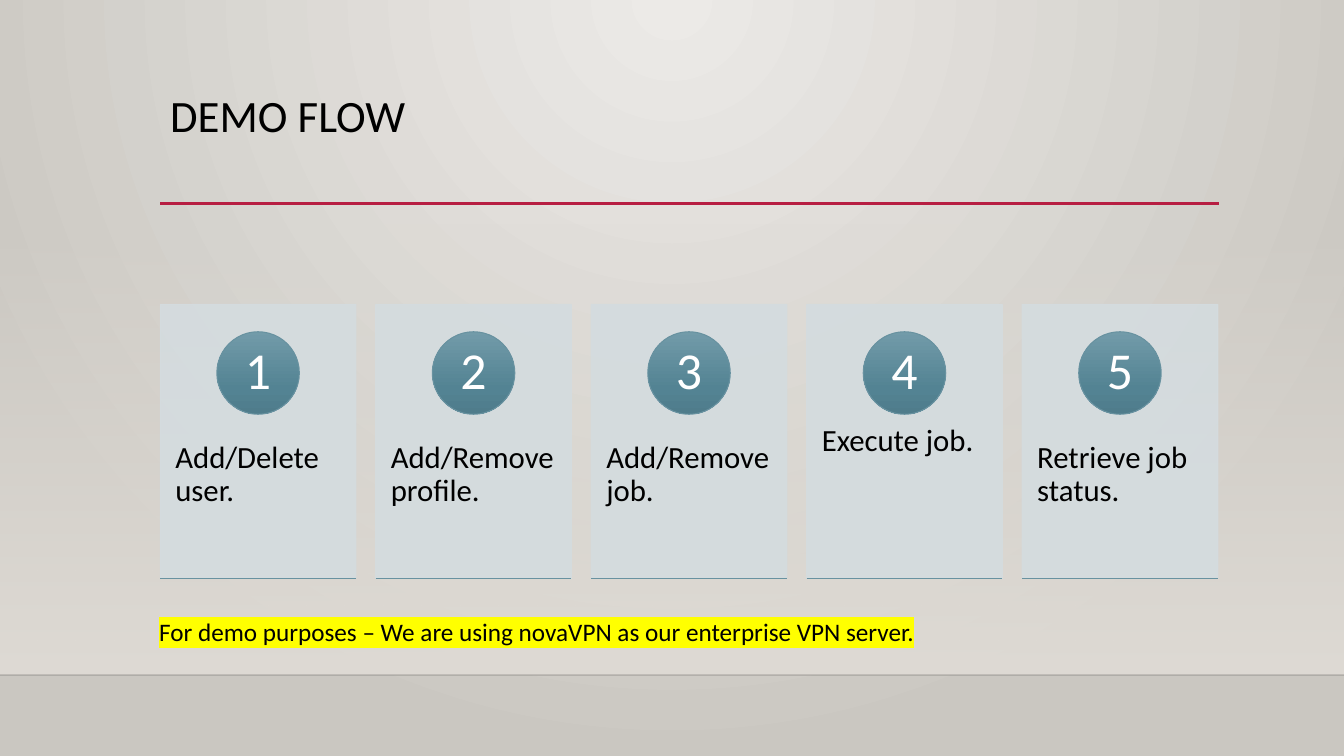
"""Build the demo flow slide with five numbered steps."""
from lxml import etree
from pptx import Presentation
from pptx import util as u
from pptx.dml.color import RGBColor
from pptx.enum import shapes, text
from pptx.oxml.ns import qn

THEME = {
    "font": "Calibri", "title": 32, "label": 22, "number": 37, "note": 18,
    "ink": "000000", "white": "FFFFFF", "marker": "FFFF00",
    "rule": "B71E42", "floor": "000001", "card": "D4DCDF", "edge": "6892A0",
    "backdrop": [(0, "ECEAE7", 100), (100, "CAC7C1", 100)],
    "wall": [(0, "DFDBD5", 0), (100, "DFDBD5", 100)],
    "badge": [(0, "729BA9", 100), (69, "538393", 100), (100, "4F7C8B", 100)],
}


def write(frame, words, size, color="ink", inset=(0.25, 0.13), spacing=0.9,
          align=text.PP_ALIGN.LEFT, anchor=text.MSO_ANCHOR.TOP, highlight=None):
    frame.word_wrap = True
    frame.vertical_anchor = anchor
    frame.margin_left = frame.margin_right = u.Cm(inset[0])
    frame.margin_top = frame.margin_bottom = u.Cm(inset[1])
    paragraph = frame.paragraphs[0]
    paragraph.alignment = align
    paragraph.line_spacing = spacing
    run = paragraph.add_run()
    run.text = words
    run.font.size = u.Pt(THEME[size])
    run.font.color.rgb = RGBColor.from_string(THEME[color])
    if highlight:
        mark = etree.Element(qn("a:highlight"))
        etree.SubElement(mark, qn("a:srgbClr"), val=THEME[highlight])
        run.font.fill._xPr.find(qn("a:solidFill")).addnext(mark)
    run.font.name = THEME["font"]


def shade(fill, owner, stops, radial=False):
    fill.gradient()
    gradient = next(owner.iter(qn("a:gradFill")))
    for part in list(gradient):
        gradient.remove(part)
    stop_list = etree.SubElement(gradient, qn("a:gsLst"))
    for position, color, opacity in THEME[stops]:
        stop = etree.SubElement(stop_list, qn("a:gs"), pos=str(position * 1000))
        tint = etree.SubElement(stop, qn("a:srgbClr"), val=color)
        etree.SubElement(tint, qn("a:alpha"), val=str(opacity * 1000))
    if radial:
        circle = etree.SubElement(gradient, qn("a:path"), path="circle")
        etree.SubElement(circle, qn("a:fillToRect"),
                         l="43000", t="0", r="43000", b="100000")
    else:
        etree.SubElement(gradient, qn("a:lin"), ang="5400000", scaled="0")


deck = Presentation()
deck.slide_width, deck.slide_height = u.Cm(33.87), u.Cm(19.05)
slide = deck.slides.add_slide(deck.slide_layouts[6])
shade(slide.background.fill, slide.element, "backdrop", radial=True)

wall = slide.shapes.add_shape(shapes.MSO_SHAPE.RECTANGLE, 0, u.Cm(5.61),
                              deck.slide_width, u.Cm(11.4))
wall.shadow.inherit = False
wall.line.fill.background()
shade(wall.fill, wall.element, "wall")

LEFT, STEP, CARD_WIDTH = 4.04, 5.43, 4.93
CARD_TOP, CARD_HEIGHT, BADGE = 7.67, 6.91, 2.08
steps = ["Add/Delete user.", "Add/Remove profile.", "Add/Remove job.",
         "Execute job.", "Retrieve job status."]
lines = [(0, 33.87, 17.01, "floor", 1, 20), (LEFT, 30.73, 5.13, "rule", 2.5, 100)]

title = slide.shapes.add_textbox(u.Cm(LEFT), u.Cm(2.24), u.Cm(26.67), u.Cm(2.92))
write(title.text_frame, "DEMO FLOW", "title")

for index, step in enumerate(steps):
    left = LEFT + index * STEP
    card = slide.shapes.add_shape(shapes.MSO_SHAPE.RECTANGLE, u.Cm(left), u.Cm(CARD_TOP),
                                  u.Cm(CARD_WIDTH), u.Cm(CARD_HEIGHT))
    card.shadow.inherit = False
    card.line.width = u.Pt(0.75)
    for paint in (card.fill, card.line.fill):
        paint.solid()
        paint.fore_color.rgb = RGBColor.from_string(THEME["card"])
    for tint in card.element.spPr.iter(qn("a:srgbClr")):
        etree.SubElement(tint, qn("a:alpha"), val="90000")

    label = slide.shapes.add_textbox(u.Cm(left), u.Cm(10.29), u.Cm(CARD_WIDTH), u.Cm(4.14))
    write(label.text_frame, step, "label", inset=(0.38, 0.91))

    badge = slide.shapes.add_shape(shapes.MSO_SHAPE.OVAL,
                                   u.Cm(left + (CARD_WIDTH - BADGE) / 2), u.Cm(8.36),
                                   u.Cm(BADGE), u.Cm(BADGE))
    badge.shadow.inherit = False
    badge.line.width = u.Pt(0.75)
    badge.line.color.rgb = RGBColor.from_string(THEME["edge"])
    shade(badge.fill, badge.element, "badge")
    write(badge.text_frame, str(index + 1), "number", color="white", inset=(0, 0),
          align=text.PP_ALIGN.CENTER, anchor=text.MSO_ANCHOR.MIDDLE)

    lines.append((left, left + CARD_WIDTH, CARD_TOP + CARD_HEIGHT, "edge", 0.75, 100))

for start, end, height, color, weight, opacity in lines:
    line = slide.shapes.add_connector(shapes.MSO_CONNECTOR.STRAIGHT,
                                      u.Cm(start), u.Cm(height), u.Cm(end), u.Cm(height))
    line.line.width = u.Pt(weight)
    line.line.color.rgb = RGBColor.from_string(THEME[color])
    tint = next(line.element.spPr.iter(qn("a:srgbClr")))
    etree.SubElement(tint, qn("a:alpha"), val=str(opacity * 1000))
    etree.SubElement(line.element.spPr, qn("a:effectLst"))

note = slide.shapes.add_textbox(u.Cm(3.76), u.Cm(15.39), u.Cm(21.34), u.Cm(1.02))
write(note.text_frame,
      "For demo purposes – We are using novaVPN as our enterprise VPN server.",
      "note", spacing=1.0, highlight="marker")

deck.save("out.pptx")
